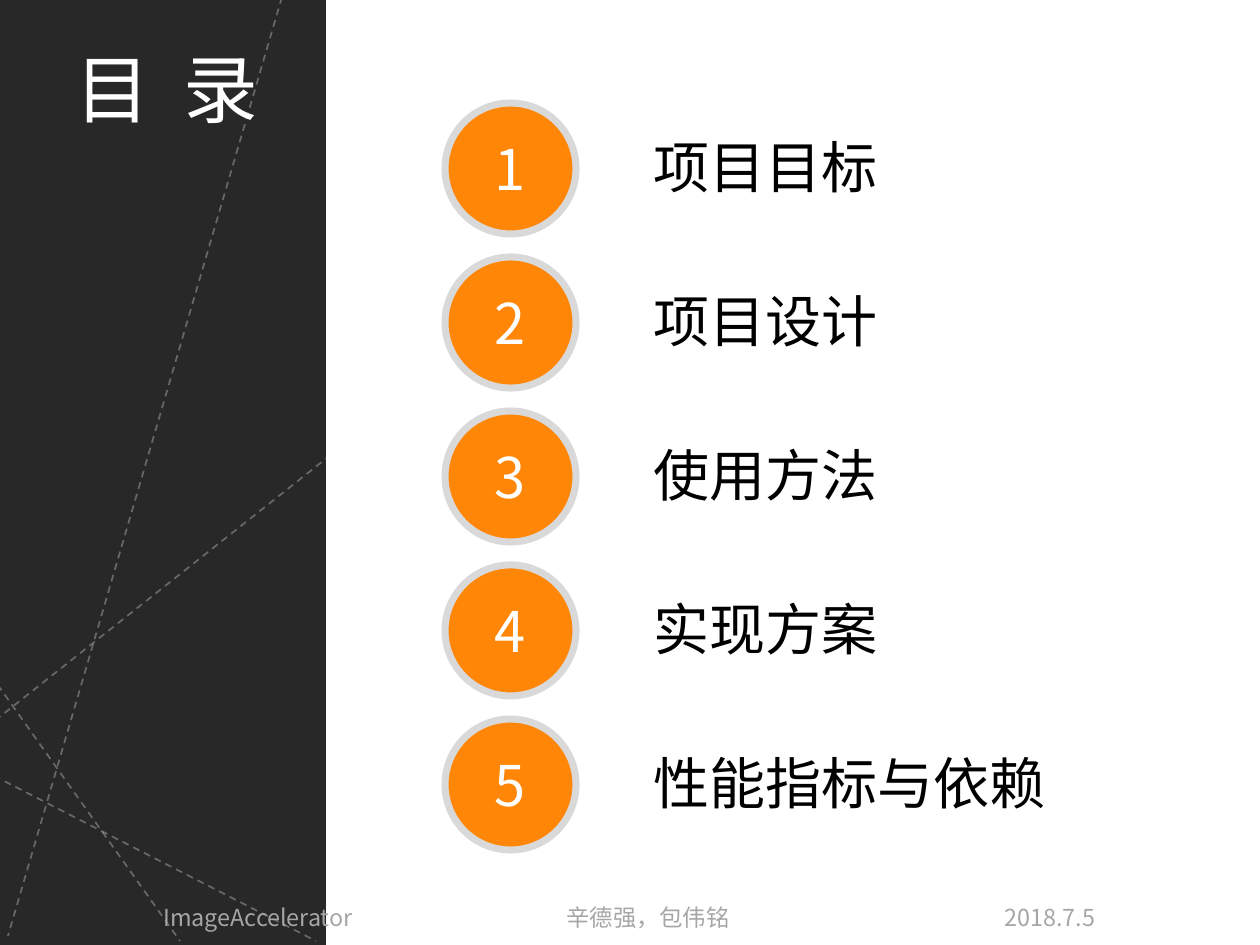
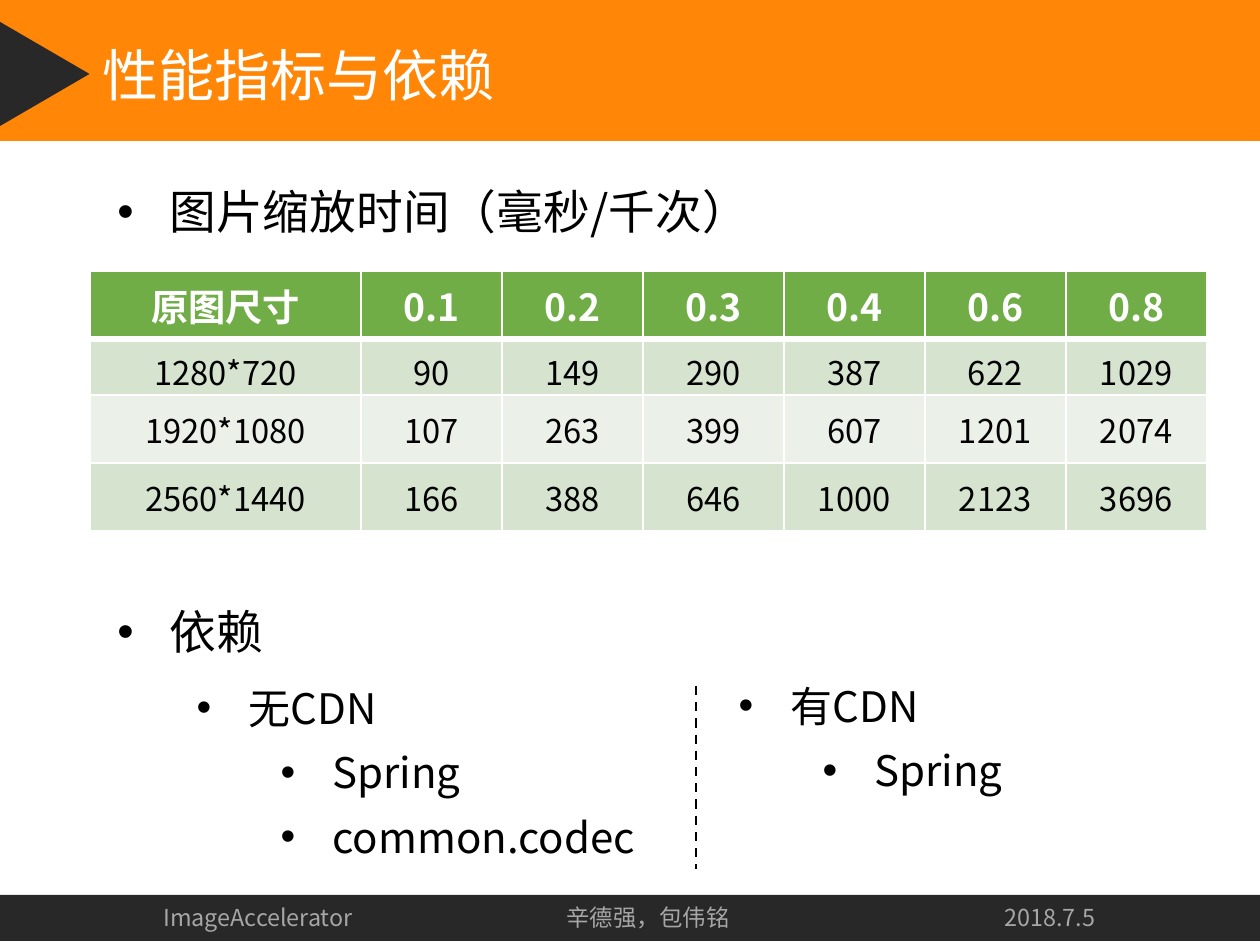
from lxml import etree
from pptx import Presentation
from pptx.dml.color import RGBColor
from pptx.enum.dml import MSO_LINE
from pptx.enum.shapes import MSO_CONNECTOR, MSO_SHAPE
from pptx.enum.text import MSO_ANCHOR, PP_ALIGN
from pptx.oxml.ns import qn
from pptx.util import Emu, Pt

SCALE = 914400 / 168
WIDTH, HEIGHT = 1260, 945
FONT, TITLE_FONT = "Noto Sans CJK SC", "Roboto Condensed"
ORANGE, DARK, WHITE, BLACK = "FF8607", "282828", "FFFFFF", "000000"
RING, MUTED = "D9D9D9", "A6A6A6"
GREEN, BANDS = "70AD47", ("D5E3CF", "EBF1E9")
FOOTER_BOX = (0, 895, WIDTH, 46)
INDENT, LEVEL_STEP = 52, 84


def px(length):
    return Emu(round(length * SCALE))


def color(hex_code):
    return RGBColor.from_string(hex_code)


def add_child(parent, tag, **attributes):
    return etree.SubElement(parent, qn(tag), attributes)


# Text
def style(paragraph, size, ink, align=PP_ALIGN.LEFT, bold=False, name=FONT):
    font = paragraph.font
    font.size, font.bold, font.name = Pt(size), bold, name
    font.color.rgb = color(ink)
    paragraph.alignment = align
    defaults = paragraph._p.pPr.find(qn("a:defRPr"))
    add_child(defaults, "a:ea", typeface=name)
    return defaults


def add_text(slide, box, text, size, ink, wrap=True, **look):
    frame = slide.shapes.add_textbox(*map(px, box)).text_frame
    frame.word_wrap = wrap
    paragraph = frame.paragraphs[0]
    paragraph.text = text
    return frame, style(paragraph, size, ink, **look)


def add_bullets(slide, box, items, size):
    """Each item is a (level, text) pair."""
    frame = slide.shapes.add_textbox(*map(px, box)).text_frame
    frame.word_wrap = True
    for number, (level, text) in enumerate(items):
        paragraph = frame.add_paragraph() if number else frame.paragraphs[0]
        paragraph.text, paragraph.level = text, level
        paragraph.space_after = Pt(6)
        defaults = style(paragraph, size, BLACK)
        properties = paragraph._p.pPr
        properties.set("marL", str(px(INDENT + level * LEVEL_STEP)))
        properties.set("indent", str(px(-INDENT)))
        bullet_font = add_child(properties, "a:buFont", typeface="Arial")
        bullet = add_child(properties, "a:buChar", char="•")
        defaults.addprevious(bullet_font)
        defaults.addprevious(bullet)


# Shapes and lines
def add_filled(slide, preset, box, fill):
    shape = slide.shapes.add_shape(preset, *map(px, box))
    shape.shadow.inherit = False
    shape.fill.solid()
    shape.fill.fore_color.rgb = color(fill)
    shape.line.fill.background()
    return shape


def add_dashed(slide, ends, ink, width, opacity=None):
    line = slide.shapes.add_connector(MSO_CONNECTOR.STRAIGHT, *map(px, ends))
    line.line.color.rgb = color(ink)
    line.line.width = Pt(width)
    line.line.dash_style = MSO_LINE.DASH
    properties = line._element.spPr
    if opacity:
        ink_element = properties.find(".//" + qn("a:srgbClr"))
        add_child(ink_element, "a:alpha", val=str(opacity * 1000))
    add_child(properties, "a:effectLst")


# Footer: three entries centred on tab stops
def add_footer(slide, box, entries=("ImageAccelerator", "辛德强，包伟铭", "2018.7.5"),
               centres=(258, 648, 1050)):
    text = "".join("\t" + entry for entry in entries)
    frame, defaults = add_text(slide, box, text, 10, MUTED)
    frame.margin_left = frame.margin_right = 0
    tabs = add_child(frame.paragraphs[0]._p.pPr, "a:tabLst")
    for centre in centres:
        add_child(tabs, "a:tab", pos=str(px(centre)), algn="ctr")
    defaults.addprevious(tabs)


# Contents slide
def add_side_panel(slide, box, title):
    left, top, width, _ = box
    add_filled(slide, MSO_SHAPE.RECTANGLE, box, DARK)
    for ends in ((-156, 699, 316, 941), (-156, 840, 763, 113),
                 (282, -3, 8, 936), (-156, 469, 180, 941)):
        add_dashed(slide, ends, WHITE, 0.75, opacity=29)
    title_box = (left + 52, top + 35, width - 96, 108)
    _, defaults = add_text(slide, title_box, title, 32, WHITE, wrap=False,
                           align=PP_ALIGN.CENTER)
    defaults.set("spc", "350")


def add_agenda(slide, box, topics, pitch=154, diameter=131):
    left, top, width, _ = box
    for number, topic in enumerate(topics, 1):
        y = top + (number - 1) * pitch
        badge = add_filled(slide, MSO_SHAPE.OVAL, (left, y, diameter, diameter), ORANGE)
        badge.line.color.rgb = color(RING)
        badge.line.width = Pt(3)
        badge.text_frame.vertical_anchor = MSO_ANCHOR.MIDDLE
        digit = badge.text_frame.paragraphs[0]
        digit.text = str(number)
        style(digit, 24, WHITE, PP_ALIGN.CENTER)
        add_text(slide, (left + 192, y + 21, width - 192, 84), topic, 24, BLACK)


def build_contents(slide):
    add_side_panel(slide, (0, 0, 326, HEIGHT), "目 录")
    add_footer(slide, FOOTER_BOX)
    topics = ("项目目标", "项目设计", "使用方法", "实现方案", "性能指标与依赖")
    add_agenda(slide, (445, 103, 790, 747), topics)


# Performance slide
def add_title_band(slide, box, title):
    left, top, _, _ = box
    add_filled(slide, MSO_SHAPE.RECTANGLE, box, ORANGE)
    add_text(slide, (left + 86, top + 32, 430, 84), title, 24, WHITE,
             wrap=False, name=TITLE_FONT)
    pointer = add_filled(slide, MSO_SHAPE.ISOSCELES_TRIANGLE,
                         (left - 10, top + 28, 107, 92), DARK)
    pointer.rotation = 90


def add_cell_border(cell, side, width):
    edge = add_child(cell._tc.get_or_add_tcPr(), "a:" + side, w=str(Pt(width)))
    add_child(add_child(edge, "a:solidFill"), "a:srgbClr", val=WHITE)


def fill_cell(cell, text, row):
    header = row == 0
    cell.text = text
    cell.vertical_anchor = MSO_ANCHOR.MIDDLE
    # The first data row is the tight one
    cell.margin_top, cell.margin_bottom = map(px, (8, 0) if row == 1 else (6, 6))
    style(cell.text_frame.paragraphs[0], 16 if header else 14,
          WHITE if header else BLACK, PP_ALIGN.CENTER, bold=header)
    for side in ("lnL", "lnR", "lnT", "lnB"):
        thick = (row, side) in ((0, "lnB"), (1, "lnT"))
        add_cell_border(cell, side, 3 if thick else 1)
    cell.fill.solid()
    cell.fill.fore_color.rgb = color(GREEN if header else BANDS[(row - 1) % 2])


def add_timings(slide, box, rows, heights, first_width=271):
    columns = len(rows[0])
    table = slide.shapes.add_table(len(rows), columns, *map(px, box)).table
    table.horz_banding = False
    other_width = (box[2] - first_width) / (columns - 1)
    for index, column in enumerate(table.columns):
        column.width = px(other_width if index else first_width)
    for row, (values, height) in enumerate(zip(rows, heights)):
        table.rows[row].height = px(height)
        for column, value in enumerate(values):
            fill_cell(table.cell(row, column), value, row)


def add_dependencies(slide, box):
    left, top, _, height = box
    add_bullets(slide, (left, top + 2, 510, height),
                ((0, "无CDN"), (1, "Spring"), (1, "common.codec")), 18)
    add_bullets(slide, (left + 542, top, 510, height),
                ((0, "有CDN"), (1, "Spring")), 18)
    divider = left + 516
    add_dashed(slide, (divider, top + 14, divider, top + 197), BLACK, 1)


def build_performance(slide):
    add_title_band(slide, (0, 0, WIDTH, 141), "性能指标与依赖")
    add_filled(slide, MSO_SHAPE.RECTANGLE, FOOTER_BOX, DARK)
    add_footer(slide, FOOTER_BOX)
    for top, heading in ((175, "图片缩放时间（毫秒/千次）"), (595, "依赖")):
        add_bullets(slide, (101, top, 1072, 76), ((0, heading),), 20)
    timings = (
        ("原图尺寸", "0.1", "0.2", "0.3", "0.4", "0.6", "0.8"),
        ("1280*720", "90", "149", "290", "387", "622", "1029"),
        ("1920*1080", "107", "263", "399", "607", "1201", "2074"),
        ("2560*1440", "166", "388", "646", "1000", "2123", "3696"),
    )
    add_timings(slide, (90, 271, 1117, 260), timings, (68, 56, 68, 68))
    add_dependencies(slide, (180, 672, 1052, 212))


deck = Presentation()
deck.slide_width, deck.slide_height = px(WIDTH), px(HEIGHT)
for build in (build_contents, build_performance):
    build(deck.slides.add_slide(deck.slide_layouts[6]))
deck.save("out.pptx")
